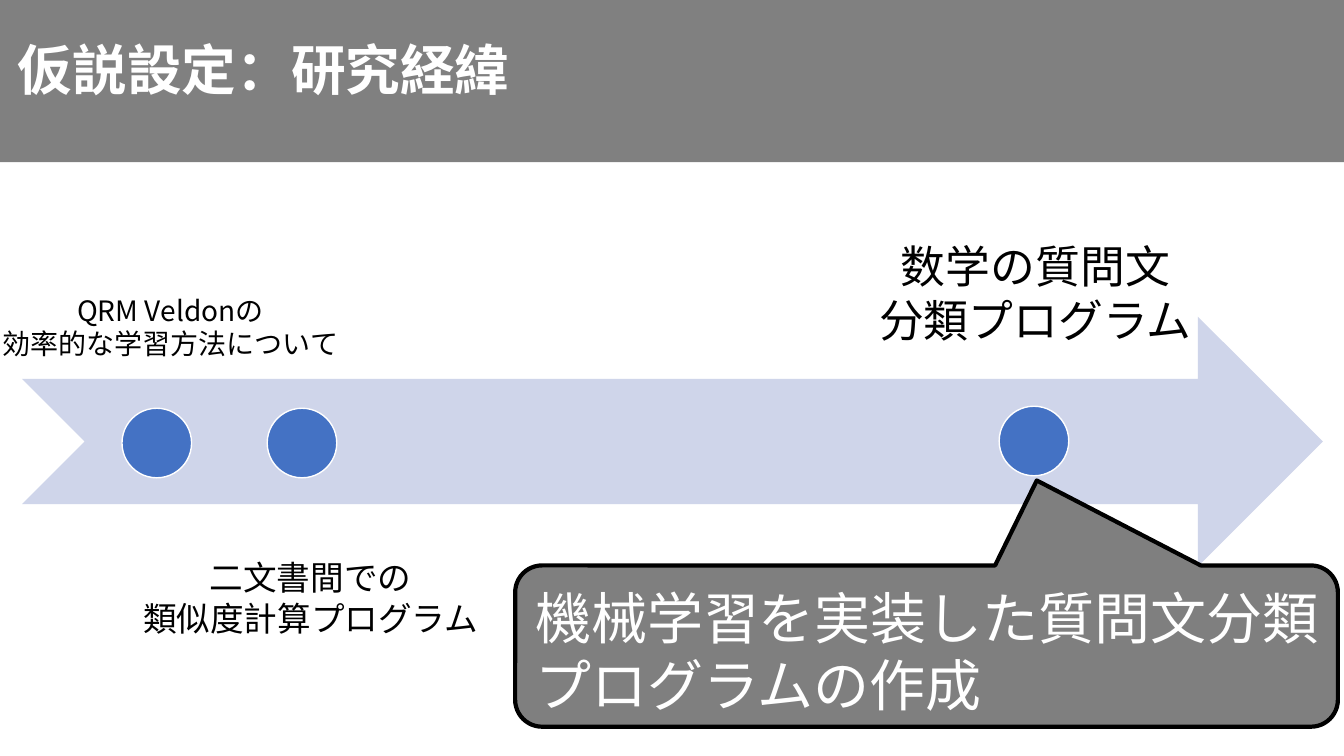
import pptx
import pptx.util
import pptx.dml.color
import pptx.enum.shapes
import pptx.enum.text
import lxml.etree

# Content
TITLE = "仮説設定：研究経緯"
CALLOUT = "機械学習を実装した質問文分類プログラムの作成"
# lines, font size, label centre x, label top, label height
LABELS = [
    (["QRM Veldonの", "効率的な学習方法について"], 20, 1.69, 2.86, 0.77),
    (["二文書間での", "類似度計算プログラム"], 24, 3.08, 5.48, 0.91),
    (["数学の質問文", "分類プログラム"], 32, 10.27, 2.32, 1.18),
]
MILESTONES = [(1.21, 4.05), (2.65, 4.05), (9.91, 4.03)]

# Format
WIDTH, HEIGHT = 13.33, 7.5
FONT = "Noto Sans CJK JP"
COLORS = {"white": "FFFFFF", "black": "000000", "band": "808080",
          "arrow": "CFD5EA", "dot": "4472C4", "callout": "7F7F7F"}
DOT_SIZE = 0.69
LABEL_WIDTH = 3.38
SHAPE = pptx.enum.shapes.MSO_SHAPE
ALIGN = pptx.enum.text.PP_ALIGN
ANCHOR = pptx.enum.text.MSO_ANCHOR

presentation = pptx.Presentation()
presentation.slide_width = pptx.util.Inches(WIDTH)
presentation.slide_height = pptx.util.Inches(HEIGHT)
slide = presentation.slides.add_slide(presentation.slide_layouts[6])


def color(name):
    return pptx.dml.color.RGBColor.from_string(COLORS[name])


def inches(box):
    return [pptx.util.Inches(length) for length in box]


def add_shape(kind, box, fill, line=None, line_width=1):
    shape = slide.shapes.add_shape(kind, *inches(box))
    shape.shadow.inherit = False
    shape.fill.solid()
    shape.fill.fore_color.rgb = color(fill)
    if line:
        shape.line.color.rgb = color(line)
        shape.line.width = pptx.util.Pt(line_width)
    else:
        shape.line.fill.background()
    return shape


def add_text(lines, box, size, ink="black", bold=False, align=ALIGN.LEFT,
             anchor=ANCHOR.TOP, side_margin=0.1, spacing=1.0):
    frame = slide.shapes.add_textbox(*inches(box)).text_frame
    frame.word_wrap = True
    frame.vertical_anchor = anchor
    frame.margin_left = frame.margin_right = pptx.util.Inches(side_margin)
    for index, line in enumerate(lines):
        paragraph = frame.add_paragraph() if index else frame.paragraphs[0]
        paragraph.alignment = align
        paragraph.line_spacing = spacing
        run = paragraph.add_run()
        run.text = line
        run.font.size = pptx.util.Pt(size)
        run.font.bold = bold
        run.font.color.rgb = color(ink)
        run.font.name = FONT
        # East Asian typeface follows the Latin one
        latin = run.font._element.find(pptx.oxml.ns.qn("a:latin"))
        east_asian = lxml.etree.Element(pptx.oxml.ns.qn("a:ea"), typeface=FONT)
        latin.addnext(east_asian)


# Timeline arrow and milestones
add_shape(SHAPE.NOTCHED_RIGHT_ARROW, (0.22, 3.14, 12.9, 2.48), "arrow")
for left, top in MILESTONES:
    add_shape(SHAPE.OVAL, (left, top, DOT_SIZE, DOT_SIZE), "dot", line="white")

# Title band
add_shape(SHAPE.RECTANGLE, (0, 0, WIDTH, 1.61), "band")
add_text([TITLE], (0.08, 0.17, WIDTH - 0.08, 1.1), 39, ink="white", bold=True,
         anchor=ANCHOR.MIDDLE, spacing=0.9)

# Milestone labels
for lines, size, center, top, height in LABELS:
    add_text(lines, (center - LABEL_WIDTH / 2, top, LABEL_WIDTH, height), size,
             align=ALIGN.CENTER, side_margin=0)

# Callout pointing at the last milestone
callout = add_shape(SHAPE.ROUNDED_RECTANGULAR_CALLOUT, (5.11, 5.61, 8.16, 1.6),
                    "callout", line="black", line_width=3)
for index, value in enumerate((0.134, -1.027, 0.167)):
    callout.adjustments[index] = value
add_text([CALLOUT], (5.21, 5.74, 8.04, 1.45), 40, ink="white")

presentation.save("out.pptx")
